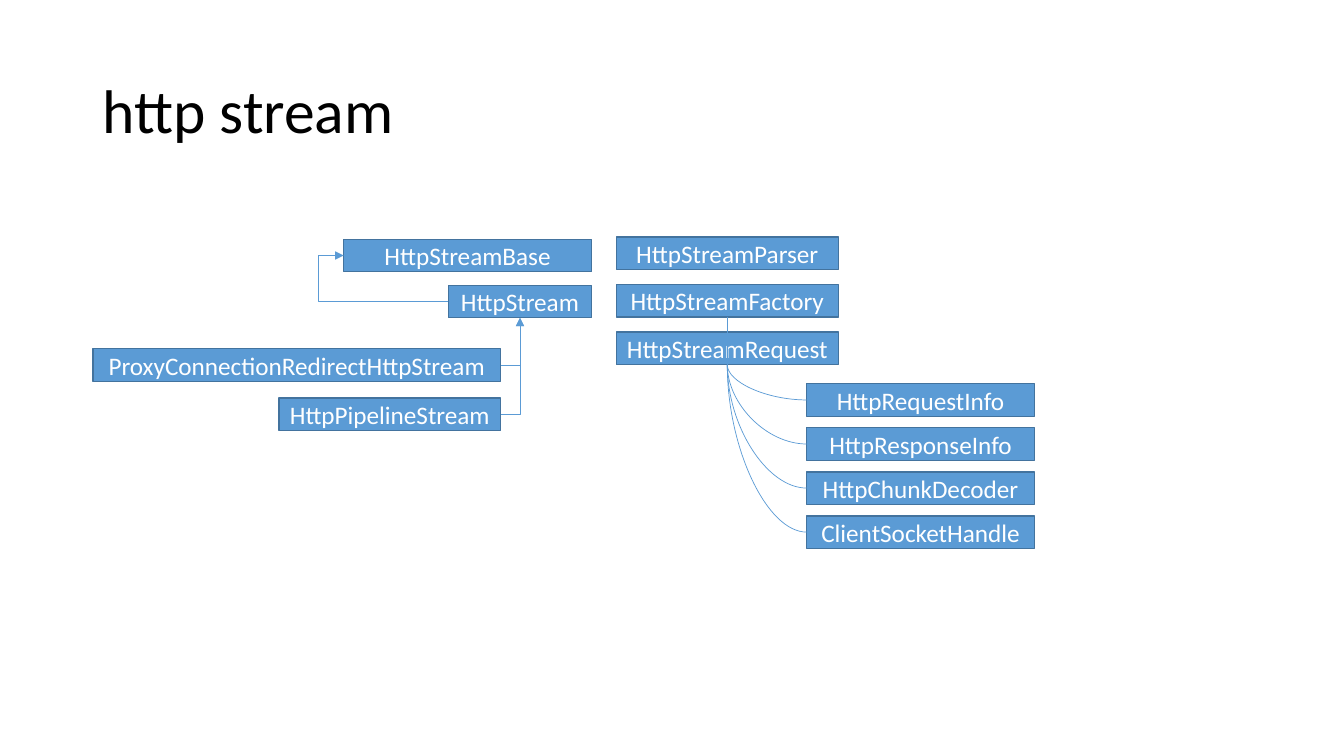
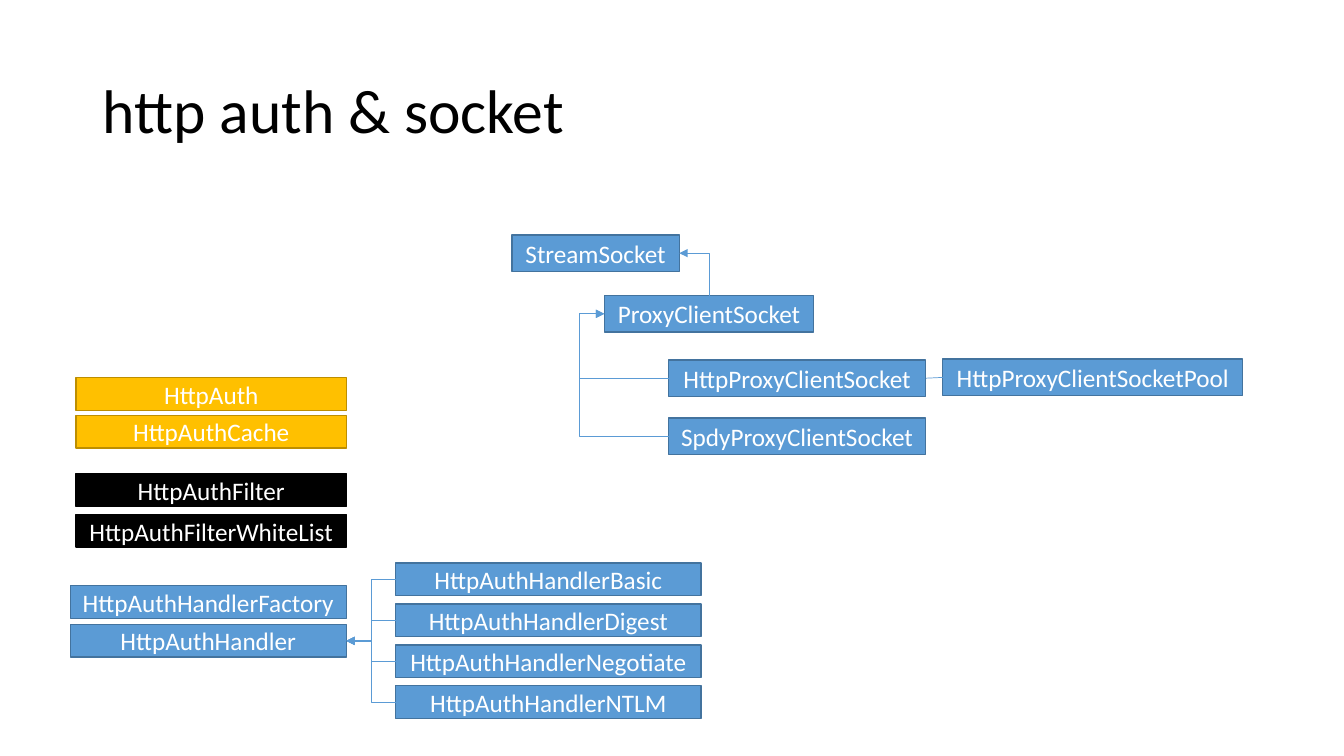
from pptx import Presentation
from pptx.dml.color import RGBColor
from pptx.enum.shapes import MSO_CONNECTOR, MSO_SHAPE
from pptx.enum.text import MSO_ANCHOR, MSO_AUTO_SIZE, PP_ALIGN
from pptx.oxml.ns import qn
from pptx.util import Cm, Pt
from lxml.etree import SubElement

FONT = "Calibri"
COLORS = {
    "text": "000000",
    "label": "FFFFFF",
    "connector": "5B9BD5",
    "blue": "5B9BD5",
    "blue_edge": "43739E",
    "gold": "FFC000",
    "gold_edge": "BD8E00",
    "black": "000000",
    "black_edge": "000000",
}
TOP, LEFT, BOTTOM, RIGHT = range(4)
ROW_HEIGHT = 0.82
SOCKET_HEIGHT = 0.92
DETOUR = 0.64


def color(name):
    """Return the named colour."""
    return RGBColor.from_string(COLORS[name])


def write_text(shape, text, size=18, ink="label", align=PP_ALIGN.CENTER, spacing=1.0):
    """Put one formatted, vertically centred paragraph into a shape."""
    frame = shape.text_frame
    frame.text = text
    frame.word_wrap = True
    frame.auto_size = MSO_AUTO_SIZE.NONE
    frame.vertical_anchor = MSO_ANCHOR.MIDDLE
    paragraph = frame.paragraphs[0]
    paragraph.alignment = align
    paragraph.line_spacing = spacing
    font = paragraph.runs[0].font
    font.name = FONT
    font.size = Pt(size)
    font.color.rgb = color(ink)


def add_titled_slide(presentation, title):
    """Add a slide with only a title."""
    slide = presentation.slides.add_slide(presentation.slide_layouts[5])
    shape = slide.shapes.title
    shape.left, shape.top = Cm(2.33), Cm(1.01)
    shape.width, shape.height = Cm(29.21), Cm(3.68)
    write_text(shape, title, size=44, ink="text", align=PP_ALIGN.LEFT, spacing=0.9)
    return slide


def add_class(slide, name, left, top, width, height=ROW_HEIGHT, palette="blue"):
    """Draw one class as a labelled rectangle, measured in centimetres."""
    shape = slide.shapes.add_shape(
        MSO_SHAPE.RECTANGLE, Cm(left), Cm(top), Cm(width), Cm(height))
    shape.shadow.inherit = False
    shape.fill.solid()
    shape.fill.fore_color.rgb = color(palette)
    shape.line.color.rgb = color(palette + "_edge")
    shape.line.width = Pt(1)
    frame = shape.text_frame
    frame.margin_left = frame.margin_right = 0
    frame.margin_top = frame.margin_bottom = 0
    write_text(shape, name)
    return shape


def add_column(slide, names, left, top, width, step, **style):
    """Stack classes of one width at equal steps."""
    return [add_class(slide, name, left, top + row * step, width, **style)
            for row, name in enumerate(names)]


def connect(slide, start, start_site, end, end_site, kind=MSO_CONNECTOR.STRAIGHT,
            geometry=None, arrow=None, detour=0):
    """Link two classes, optionally with an arrowhead and a detour beyond the end."""
    connector = slide.shapes.add_connector(kind, 0, 0, 0, 0)
    connector.begin_connect(start, start_site)
    connector.end_connect(end, end_site)
    connector.line.color.rgb = color("connector")
    connector.line.width = Pt(0.5)
    properties = connector._element.spPr
    preset = properties.find(qn("a:prstGeom"))
    if geometry:
        preset.set("prst", geometry)
    if detour:
        ratio = 1 + Cm(detour) / connector.width
        SubElement(preset.find(qn("a:avLst")), qn("a:gd"),
                   name="adj1", fmla=f"val {round(ratio * 100000)}")
    if arrow:
        SubElement(properties.find(qn("a:ln")), qn("a:" + arrow), type="triangle")
    SubElement(properties, qn("a:effectLst"))


def connect_elbow(slide, start, start_site, end, end_site, arrow="tailEnd", **options):
    """Link two classes with a bent arrow."""
    connect(slide, start, start_site, end, end_site, kind=MSO_CONNECTOR.ELBOW,
            arrow=arrow, **options)


def draw_stream_hierarchy(slide, left, top, width):
    """Draw the stream base class and its descendants."""
    right = left + width
    inner_right = right - 2.29
    base = add_class(slide, "HttpStreamBase", right - 6.25, top, 6.25)
    stream = add_class(slide, "HttpStream", right - 3.61, top + 1.16, 3.61)
    redirect = add_class(slide, "ProxyConnectionRedirectHttpStream",
                         left, top + 2.76, inner_right - left)
    pipeline = add_class(slide, "HttpPipelineStream", inner_right - 5.59, top + 4, 5.59)
    for child in (pipeline, redirect):
        connect_elbow(slide, child, RIGHT, stream, BOTTOM, geometry="bentConnector2")
    connect_elbow(slide, stream, LEFT, base, LEFT, detour=DETOUR)


def draw_stream_request(slide, left, top):
    """Draw the parser, the factory, and the request with its parts."""
    names = ["HttpStreamParser", "HttpStreamFactory", "HttpStreamRequest"]
    parser, factory, request = add_column(slide, names, left, top, 5.6, 1.2)
    parts = add_column(
        slide,
        ["HttpRequestInfo", "HttpResponseInfo", "HttpChunkDecoder", "ClientSocketHandle"],
        left + 4.8, top + 3.7, 5.74, 1.11)
    for part in parts:
        connect(slide, part, LEFT, request, BOTTOM, kind=MSO_CONNECTOR.CURVE,
                geometry="curvedConnector2")
    connect(slide, factory, BOTTOM, request, BOTTOM)


def draw_auth(slide, left, top):
    """Draw the authentication classes and the handler variants."""
    add_column(slide, ["HttpAuth", "HttpAuthCache"],
               left + 0.15, top, 6.81, 0.95, palette="gold")
    add_column(slide, ["HttpAuthFilter", "HttpAuthFilterWhiteList"],
               left + 0.15, top + 2.42, 6.81, 1.03, palette="black")
    factory, handler = add_column(slide, ["HttpAuthHandlerFactory", "HttpAuthHandler"],
                                  left, top + 5.24, 6.96, 0.98)
    variants = add_column(
        slide, ["HttpAuthHandler" + scheme for scheme in ("Basic", "Digest", "Negotiate", "NTLM")],
        left + 8.2, top + 4.67, 7.7, 1.03)
    for variant in variants:
        connect_elbow(slide, variant, LEFT, handler, RIGHT)


def draw_sockets(slide, left, top):
    """Draw the socket hierarchy and the socket pool."""
    stream = add_class(slide, "StreamSocket", left, top, 4.22, SOCKET_HEIGHT)
    proxy = add_class(slide, "ProxyClientSocket", left + 2.33, top + 1.53, 5.28, SOCKET_HEIGHT)
    http, spdy = add_column(slide, ["HttpProxyClientSocket", "SpdyProxyClientSocket"],
                            left + 3.95, top + 3.15, 6.48, 1.46, height=SOCKET_HEIGHT)
    pool = add_class(slide, "HttpProxyClientSocketPool", left + 10.86, top + 3.13, 7.56,
                     SOCKET_HEIGHT)
    connect(slide, http, RIGHT, pool, LEFT)
    connect_elbow(slide, stream, RIGHT, proxy, TOP, arrow="headEnd", geometry="bentConnector2")
    for child in (http, spdy):
        connect_elbow(slide, child, LEFT, proxy, LEFT, detour=DETOUR)


def build_stream_slide(presentation):
    """Build the slide about streams."""
    slide = add_titled_slide(presentation, "http stream")
    draw_stream_hierarchy(slide, left=2.34, top=6.03, width=12.57)
    draw_stream_request(slide, left=15.53, top=5.97)


def build_auth_slide(presentation):
    """Build the slide about authentication and sockets."""
    slide = add_titled_slide(presentation, "http auth & socket")
    draw_auth(slide, left=1.77, top=9.52)
    draw_sockets(slide, left=12.9, top=5.92)


def main():
    """Build and save the presentation."""
    presentation = Presentation()
    presentation.slide_width, presentation.slide_height = Cm(33.87), Cm(19.05)
    build_stream_slide(presentation)
    build_auth_slide(presentation)
    presentation.save("out.pptx")


main()
